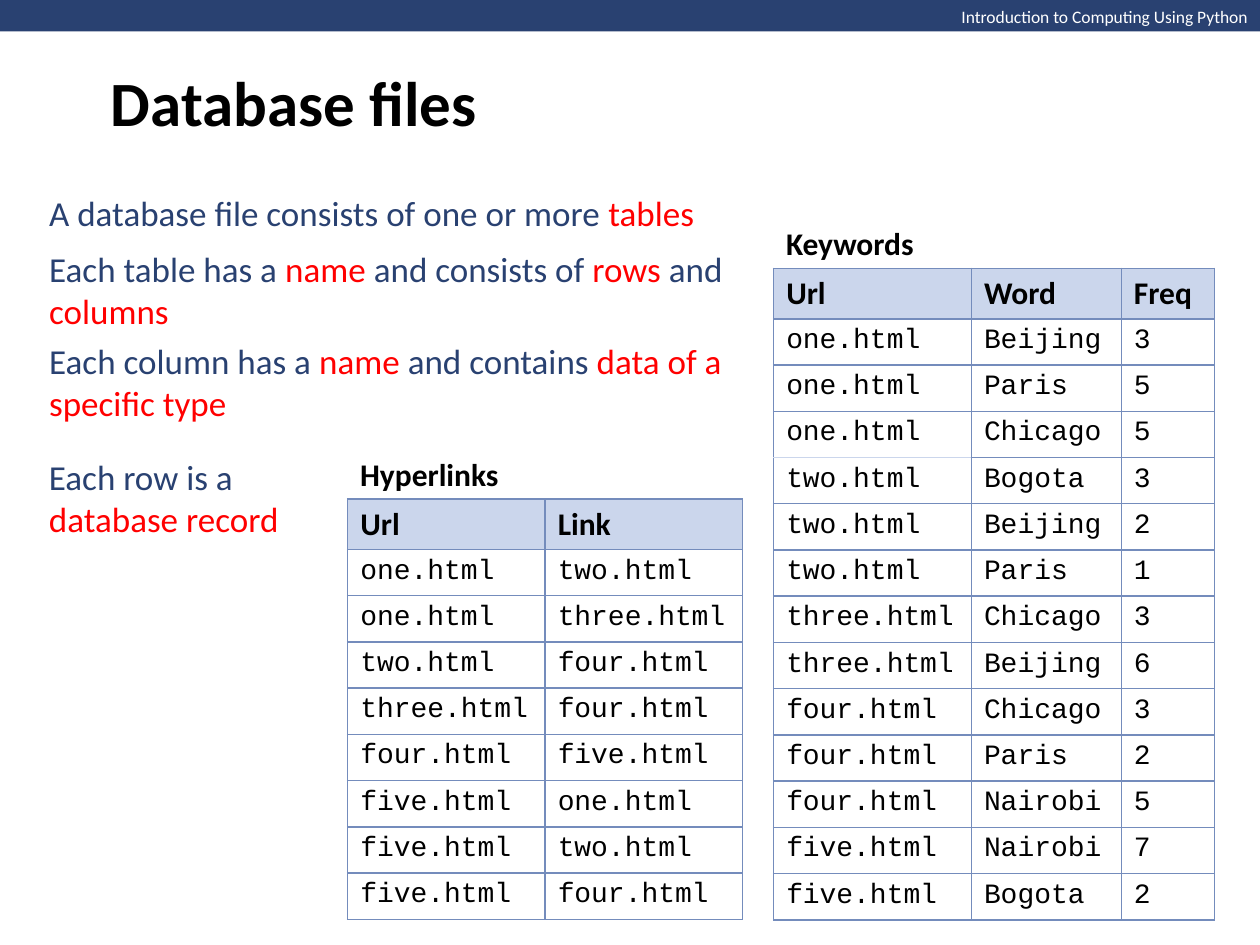
from dataclasses import dataclass
from lxml.etree import SubElement as Sub
from pptx import Presentation
from pptx.dml.color import RGBColor as Rgb
from pptx.enum.shapes import MSO_SHAPE as Kind
from pptx.enum.text import MSO_ANCHOR as Anchor, MSO_AUTO_SIZE as Auto, PP_ALIGN as Align
from pptx.oxml import parse_xml
from pptx.oxml.ns import nsdecls, qn
from pptx.util import Inches, Pt

HUES = {
    "navy": "294171", "red": "FF0000", "black": "000000", "white": "FFFFFF",
    "head": "CBD6EC", "edge": "748CBC",
}
COLS, ROWS = 100, 75
WIDE, HIGH = Inches(10), Inches(7.5)
SANS, MONO = "Calibri", "Courier New"
FLOOR, HEAD = 72.95, 4


@dataclass
class Box:
    left: float
    top: float
    wide: float
    high: float

    def place(self) -> tuple:
        dx, dy = WIDE / COLS, HIGH / ROWS
        return tuple(int(n) for n in (
            self.left * dx, self.top * dy, self.wide * dx, self.high * dy))


@dataclass
class Style:
    size: float
    hue: str = "black"
    bold: bool = False
    face: str = SANS


@dataclass
class Grid:
    name: str
    left: float
    top: float
    label: float
    cols: list
    data: list
    pale: tuple = ()


BODY = Style(20, "navy")
BOLD = Style(18, bold=True)
CODE = Style(16, face=MONO)

FACTS = [
    ("A database file consists of one or more *tables", 0),
    ("Each table has a *name *and consists of *rows *and *columns", 8),
    ("Each column has a *name *and contains *data of a specific type", 4.5),
]
RECORD = "Each row is a *database record"

GRIDS = [
    Grid("Hyperlinks", 27.6, 39.6, 13.1, [15.67, 15.67], [
        "Url Link", "one.html two.html", "one.html three.html",
        "two.html four.html", "three.html four.html", "four.html five.html",
        "five.html one.html", "five.html two.html", "five.html four.html"]),
    Grid("Keywords", 61.4, 21.3, 12.4, [15.7, 11.9, 7.4], [
        "Url Word Freq", "one.html Beijing 3", "one.html Paris 5",
        "one.html Chicago 5", "two.html Bogota 3", "two.html Beijing 2",
        "two.html Paris 1", "three.html Chicago 3", "three.html Beijing 6",
        "four.html Chicago 3", "four.html Paris 2", "four.html Nairobi 5",
        "five.html Nairobi 7", "five.html Bogota 2"],
        ((3, 0, "B"), (4, 0, "T"))),
]


def rgb(hue: str) -> Rgb:
    return Rgb.from_string(HUES[hue])


def dress(para, style: Style) -> None:
    font = para.font
    font.name, font.size, font.bold = style.face, Pt(style.size), style.bold
    font.color.rgb = rgb(style.hue)


def write(para, text: str, style: Style) -> None:
    for i, part in enumerate(text.split("*")):
        run = para.add_run()
        run.text = part
        if i % 2:
            run.font.color.rgb = rgb("red")
    dress(para, style)


def move(shape, box: Box) -> None:
    shape.left, shape.top, shape.width, shape.height = box.place()


def label(slide, box: Box, text: str, style: Style, wrap: bool = False,
          anchor=Anchor.MIDDLE):
    frame = slide.shapes.add_textbox(*box.place()).text_frame
    frame.word_wrap = wrap
    frame.auto_size = Auto.SHAPE_TO_FIT_TEXT
    frame.vertical_anchor = anchor
    write(frame.paragraphs[0], text, style)
    return frame.paragraphs[0]


def band(slide) -> None:
    bar = slide.shapes.add_shape(Kind.RECTANGLE, *Box(0, 0, COLS, 2.5).place())
    bar.shadow.inherit = False
    bar.fill.solid()
    bar.fill.fore_color.rgb = rgb("navy")
    bar.line.fill.background()
    para = label(slide, Box(75.1, 0, 24.9, 2.7),
                 "Introduction to Computing Using Python",
                 Style(10, "white"), anchor=Anchor.TOP)
    para.alignment = Align.RIGHT


def title(slide) -> None:
    shape = slide.shapes.title
    move(shape, Box(7.8, 0, 85, 16.1))
    frame = shape.text_frame
    frame.vertical_anchor = Anchor.MIDDLE
    para = frame.paragraphs[0]
    para.alignment = Align.LEFT
    write(para, "Database files", Style(36, bold=True))


def facts(slide) -> None:
    shape = slide.placeholders[1]
    move(shape, Box(2.9, 14.7, 56, 19.4))
    frame = shape.text_frame
    frame.auto_size = Auto.NONE
    for i, (text, gap) in enumerate(FACTS):
        para = frame.add_paragraph() if i else frame.paragraphs[0]
        para.space_before = Pt(gap)
        props = para._p.get_or_add_pPr()
        props.set("marL", "0")
        props.set("indent", "0")
        Sub(props, qn("a:buNone"))
        write(para, text, BODY)


def edges(cell, pale: set) -> None:
    props = cell._tc.get_or_add_tcPr()
    for i, side in enumerate("LRTB"):
        hue = HUES["head" if side in pale else "edge"]
        props.insert(i, parse_xml(
            f'<a:ln{side} {nsdecls("a")} w="{Pt(1)}"><a:solidFill>'
            f'<a:srgbClr val="{hue}"/></a:solidFill></a:ln{side}>'))


def draw(slide, grid: Grid) -> None:
    label(slide, Box(grid.left, grid.top - 4, grid.label, 4), grid.name, BOLD)
    box = Box(grid.left, grid.top, sum(grid.cols), FLOOR - grid.top)
    count = len(grid.data)
    table = slide.shapes.add_table(count, len(grid.cols), *box.place()).table
    table.horz_banding = False
    for col, wide in zip(table.columns, grid.cols):
        col.width = int(wide * WIDE / COLS)
    step = (box.high - HEAD) / (count - 1)
    for r, line in enumerate(grid.data):
        table.rows[r].height = int((step if r else HEAD) * HIGH / ROWS)
        for c, text in enumerate(line.split()):
            cell = table.cell(r, c)
            cell.fill.solid()
            cell.fill.fore_color.rgb = rgb("white" if r else "head")
            edges(cell, {s for y, x, s in grid.pale if (y, x) == (r, c)})
            write(cell.text_frame.paragraphs[0], text, CODE if r else BOLD)


def main() -> None:
    deck = Presentation()
    deck.slide_width, deck.slide_height = WIDE, HIGH
    slide = deck.slides.add_slide(deck.slide_layouts[1])
    band(slide)
    title(slide)
    facts(slide)
    for grid in GRIDS:
        draw(slide, grid)
    label(slide, Box(2.9, 35.6, 21, 7.7), RECORD, BODY, wrap=True)
    deck.save("out.pptx")


if __name__ == "__main__":
    main()
